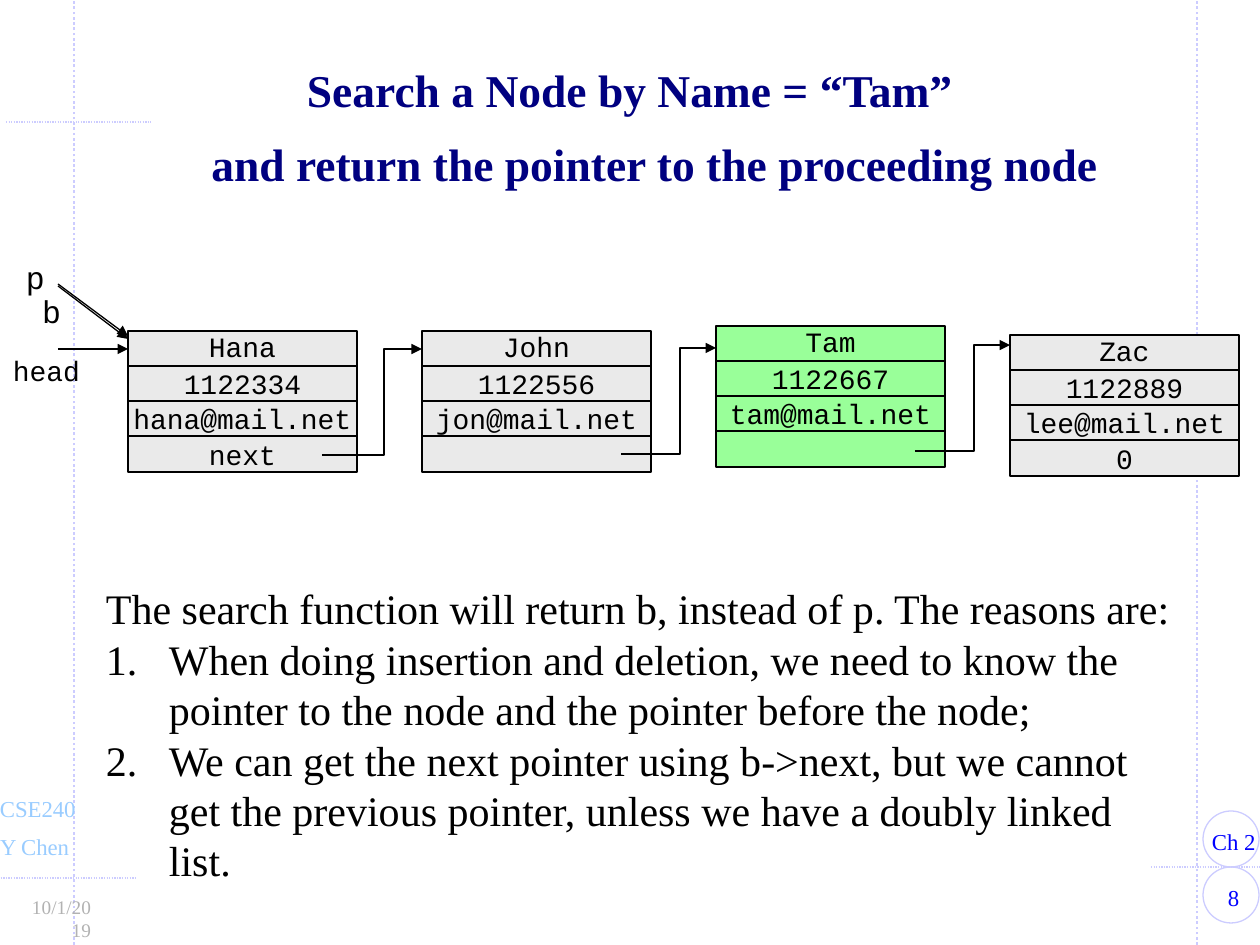
from dataclasses import dataclass

import pptx
import pptx.dml.color
import pptx.enum.dml
import pptx.enum.shapes
import pptx.enum.text
import pptx.oxml.ns
import pptx.util
from lxml import etree

PX_PER_INCH = 126
COLOURS = {
    "black": "000000",
    "navy": "000080",
    "blue": "0000FF",
    "sky": "99CCFF",
    "lavender": "CCCCFF",
    "silver": "B2B2B2",
    "grey": "EAEAEA",
    "green": "99FF99",
}
SERIF = "Times New Roman"
MONO = "Courier New"
ALIGN = pptx.enum.text.PP_ALIGN
ANCHOR = pptx.enum.text.MSO_ANCHOR
SHAPE = pptx.enum.shapes.MSO_SHAPE
NODE_WIDTH, NODE_HEIGHT = 229, 141
NODE_LEFT, NODE_STEP = 128, 294


@dataclass
class Node:
    top: int
    fields: tuple[str, ...]
    fill: str = "grey"


@dataclass
class Label:
    text: str
    box: tuple[int, int, int, int]
    size: int
    colour: str
    font: str = SERIF
    align: ALIGN = ALIGN.LEFT
    wrap: bool = False
    inset: int = 14


@dataclass
class Rule:
    start: tuple[int, int]
    end: tuple[int, int]
    width: float = 0.75


NODES = [
    Node(331, ("Hana", "1122334", "hana@mail.net", "next")),
    Node(331, ("John", "1122556", "jon@mail.net", "")),
    Node(326, ("Tam", "1122667", "tam@mail.net", ""), "green"),
    Node(335, ("Zac", "1122889", "lee@mail.net", "0")),
]
# Corner points of the links: start x, bend x, end x, start y, end y
LINKS = [(322, 384, 422, 455, 349), (621, 680, 716, 454, 348), (915, 974, 1010, 451, 345)]
POINTERS = [((58, 284), (128, 336)), ((58, 286), (128, 339)), ((58, 349), (128, 349))]
RULES = [
    Rule((74, 945), (74, 0), 1.5),
    Rule((1197, 945), (1197, 0), 1.5),
    Rule((-7, 878), (137, 878)),
    Rule((1151, 867), (1266, 867)),
    Rule((6, 122), (151, 122)),
]
FOOTER_LABELS = [
    Label("8", (1197, 878, 73, 40), 13, "blue", align=ALIGN.CENTER, wrap=True),
    Label("Ch 2", (1198, 822, 71, 40), 13, "blue"),
    Label("Y Chen", (-14, 827, 97, 40), 13, "sky"),
    Label("CSE240", (-14, 789, 102, 40), 13, "sky"),
    Label("10/1/2019", (10, 889, 95, 37), 11, "silver", align=ALIGN.RIGHT, wrap=True),
]
POINTER_LABELS = [
    Label("p", (13, 252, 44, 50), 18, "black", MONO, inset=13),
    Label("b", (29, 286, 44, 50), 18, "black", MONO, inset=13),
    Label("head", (0, 348, 93, 47), 16, "black", MONO, inset=13),
]
REASONS = [
    "When doing insertion and deletion, we need to know the pointer to the node "
    "and the pointer before the node;",
    "We can get the next pointer using b->next, but we cannot get the previous "
    "pointer, unless we have a doubly linked list.",
]


def px(length: int) -> pptx.util.Emu:
    return pptx.util.Emu(round(length * 914400 / PX_PER_INCH))


def rgb(name: str) -> pptx.dml.color.RGBColor:
    return pptx.dml.color.RGBColor.from_string(COLOURS[name])


def write(para, text: str, *, size: int, colour: str, font: str = SERIF,
          bold: bool = False, align: ALIGN = ALIGN.LEFT, spacing: float = 1.0) -> None:
    """Put text in a paragraph; each line feed becomes a line break."""
    para.alignment = align
    para.line_spacing = spacing
    for index, line in enumerate(text.split("\n")):
        if index:
            para.add_line_break()
        span = para.add_run()
        span.text = line
        span.font.size = pptx.util.Pt(size)
        span.font.name = font
        span.font.bold = bold
        span.font.color.rgb = rgb(colour)


def set_frame(frame, *, inset: int, wrap: bool, anchor: ANCHOR = ANCHOR.TOP) -> None:
    frame.margin_left = frame.margin_right = px(inset)
    frame.margin_top = frame.margin_bottom = px(6)
    frame.word_wrap = wrap
    frame.vertical_anchor = anchor
    frame.auto_size = pptx.enum.text.MSO_AUTO_SIZE.NONE


def hang(para, indent: int) -> None:
    properties = para._p.get_or_add_pPr()
    properties.set("marL", str(px(indent)))
    properties.set("indent", str(px(-indent)))


def draw_label(page, label: Label) -> None:
    box = page.shapes.add_textbox(*map(px, label.box))
    set_frame(box.text_frame, inset=label.inset, wrap=label.wrap)
    write(box.text_frame.paragraphs[0], label.text, size=label.size,
          colour=label.colour, font=label.font, align=label.align)


def style_line(shape, colour: str, width: float = 0.75) -> None:
    shape.line.color.rgb = rgb(colour)
    shape.line.width = pptx.util.Pt(width)


def add_arrowhead(shape) -> None:
    line = shape.line._get_or_add_ln()
    etree.SubElement(line, pptx.oxml.ns.qn("a:tailEnd"), type="triangle")


def draw_line(page, start: tuple[int, int], end: tuple[int, int], colour: str, width: float):
    line = page.shapes.add_connector(
        pptx.enum.shapes.MSO_CONNECTOR.STRAIGHT, *map(px, start + end))
    style_line(line, colour, width)
    etree.SubElement(line._element.spPr, pptx.oxml.ns.qn("a:effectLst"))
    return line


def draw_node(page, left: int, node: Node) -> None:
    count = len(node.fields)
    edges = [node.top + NODE_HEIGHT * row // count for row in range(count + 1)]
    for row, text in enumerate(node.fields):
        cell = page.shapes.add_shape(SHAPE.RECTANGLE, px(left), px(edges[row]),
                                     px(NODE_WIDTH), px(edges[row + 1] - edges[row]))
        cell.shadow.inherit = False
        cell.fill.solid()
        cell.fill.fore_color.rgb = rgb(node.fill)
        style_line(cell, "black")
        set_frame(cell.text_frame, inset=13, wrap=False, anchor=ANCHOR.MIDDLE)
        if text:
            write(cell.text_frame.paragraphs[0], text, size=16, colour="black", font=MONO,
                  align=ALIGN.CENTER, spacing=1.0 if row else 0.9)


def draw_link(page, start: int, bend: int, end: int, low: int, high: int) -> None:
    builder = page.shapes.build_freeform(px(start), px(low))
    corners = [(bend, low), (bend, high), (end, high)]
    builder.add_line_segments([(px(x), px(y)) for x, y in corners], close=False)
    link = builder.convert_to_shape()
    link.shadow.inherit = False
    link.fill.background()
    style_line(link, "black")
    add_arrowhead(link)


def main() -> None:
    deck = pptx.Presentation()
    deck.slide_width, deck.slide_height = px(1260), px(945)
    page = deck.slides.add_slide(deck.slide_layouts[5])

    # Margin rules, page circles and footer
    for rule in RULES:
        line = draw_line(page, rule.start, rule.end, "lavender", rule.width)
        line.line.dash_style = pptx.enum.dml.MSO_LINE.ROUND_DOT
    for top in (867, 811):
        circle = page.shapes.add_shape(SHAPE.OVAL, px(1203), px(top), px(56), px(56))
        circle.shadow.inherit = False
        circle.fill.background()
        style_line(circle, "lavender")
    for label in FOOTER_LABELS:
        draw_label(page, label)

    # Title
    title = page.shapes.title
    title.left, title.top, title.width, title.height = map(px, (92, 55, 1076, 124))
    set_frame(title.text_frame, inset=14, wrap=True, anchor=ANCHOR.MIDDLE)
    heading = title.text_frame.paragraphs[0]
    hang(heading, 50)
    write(heading, "Search a Node by Name = “Tam”\nand return the pointer to the proceeding node",
          size=26, colour="navy", bold=True, align=ALIGN.CENTER, spacing=1.35)

    # Linked list
    for index, node in enumerate(NODES):
        draw_node(page, NODE_LEFT + index * NODE_STEP, node)
    for link in LINKS:
        draw_link(page, *link)
    for start, end in POINTERS:
        add_arrowhead(draw_line(page, start, end, "black", 0.75))
    for label in POINTER_LABELS:
        draw_label(page, label)

    # Explanation with numbered reasons
    box = page.shapes.add_textbox(*map(px, (93, 577, 1094, 318)))
    set_frame(box.text_frame, inset=13, wrap=True)
    write(box.text_frame.paragraphs[0],
          "The search function will return b, instead of p. The reasons are:",
          size=24, colour="black")
    for reason in REASONS:
        para = box.text_frame.add_paragraph()
        hang(para, 63)
        write(para, reason, size=24, colour="black")
        etree.SubElement(para._p.pPr, pptx.oxml.ns.qn("a:buFont"), typeface="+mj-lt")
        etree.SubElement(para._p.pPr, pptx.oxml.ns.qn("a:buAutoNum"), type="arabicPeriod")

    deck.save("out.pptx")


if __name__ == "__main__":
    main()
